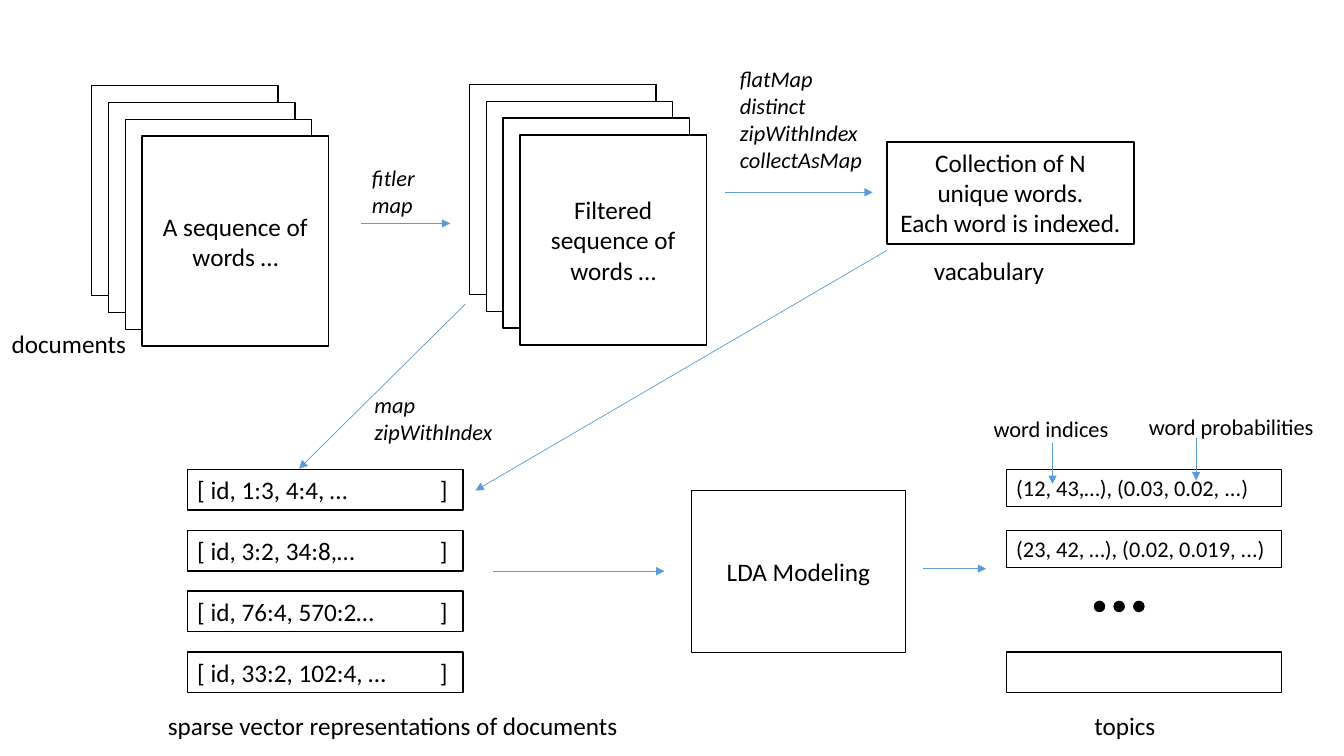
from dataclasses import dataclass

import lxml.etree
import pptx
import pptx.dml.color
import pptx.enum.shapes
import pptx.enum.text
import pptx.oxml.ns
import pptx.util

SHAPES = pptx.enum.shapes.MSO_SHAPE
ALIGN = pptx.enum.text.PP_ALIGN
ANCHOR = pptx.enum.text.MSO_ANCHOR
FIT = pptx.enum.text.MSO_AUTO_SIZE


@dataclass(frozen=True)
class Theme:
    font: str = "Calibri"
    body: int = 18
    small: int = 16
    ink: str = "000000"
    paper: str = "FFFFFF"
    arrow: str = "5B9BD5"
    outline_width: float = 1
    arrow_width: float = 0.5


THEME = Theme()
SLIDE_WIDTH = pptx.util.Inches(13.33)
SLIDE_HEIGHT = pptx.util.Inches(7.5)
COLUMNS, ROWS = 80, 45

SHEET_WIDTH, SHEET_HEIGHT = 11.1, 12.5
SHEETS = 4
VECTOR_LEFT, TOPIC_LEFT = 11.15, 59.9
LIST_TOP, LIST_PITCH, LIST_WIDTH = 27.95, 3.62, 16.4
LIST_HEIGHT, SMALL_LIST_HEIGHT = 2.42, 2.22
BRACKET_TAB = 14.9
DOT_LEFT, DOT_TOP, DOT_PITCH, DOT_SIZE = 65.15, 35.8, 1.17, 0.6

VECTORS = ["[ id, 1:3, 4:4, …", "[ id, 3:2, 34:8,…",
           "[ id, 76:4, 570:2…", "[ id, 33:2, 102:4, …"]
# Row in the list, text, height
TOPICS = [(0, "(12, 43,…), (0.03, 0.02, ...)", SMALL_LIST_HEIGHT),
          (1, "(23, 42, …), (0.02, 0.019, ...)", SMALL_LIST_HEIGHT),
          (3, "", LIST_HEIGHT)]
# Column, row, width, text
CAPTIONS = [(0.1, 19.25, 8.1, "documents"),
            (9.4, 42, 28.6, "sparse vector representations of documents"),
            (55, 14.9, 7.85, "vacabulary"),
            (64.55, 42, 4.85, "topics")]
POINTER_LABELS = [(58.55, 24.4, 8.15, "word indices"),
                  (67.8, 24.3, 11.15, "word probabilities")]
# Column, row, width, names of the operations
OPERATIONS = [(21.55, 9.5, 3.8, ["fitler", "map"]),
              (21.7, 23, 8.35, ["map", "zipWithIndex"]),
              (43.45, 3.6, 8.6,
               ["flatMap", "distinct", "zipWithIndex", "collectAsMap"])]
# Start column and row, end column and row
ARROWS = [(21.5, 13.3, 26.8, 13.3), (27.7, 18.1, 17.8, 27.9),
          (43.15, 11.45, 51.95, 11.45), (52.8, 14.9, 28.3, 29.2),
          (29.35, 34, 39.55, 34), (54.95, 33.85, 58.7, 33.85),
          (62.65, 26.35, 62.65, 28.8), (71.2, 26.1, 71.2, 28.6)]


def across(columns):
    return round(SLIDE_WIDTH * columns / COLUMNS)


def down(rows):
    return round(SLIDE_HEIGHT * rows / ROWS)


def place(left, top, width, height):
    return across(left), down(top), across(width), down(height)


def color(value):
    return pptx.dml.color.RGBColor.from_string(value)


def add_right_tab(para, column):
    tag = pptx.oxml.ns.qn
    tabs = lxml.etree.SubElement(para._p.get_or_add_pPr(), tag("a:tabLst"))
    lxml.etree.SubElement(tabs, tag("a:tab"), pos=str(across(column)), algn="r")


def write(frame, lines, size, align=ALIGN.LEFT, italic=False, tab=None):
    for number, line in enumerate(lines):
        para = frame.add_paragraph() if number else frame.paragraphs[0]
        para.alignment = align
        if tab:
            add_right_tab(para, tab)
        span = para.add_run()
        span.text = line
        span.font.name = THEME.font
        span.font.size = pptx.util.Pt(size)
        span.font.italic = italic
        span.font.color.rgb = color(THEME.ink)


def add_shape(page, area, kind=SHAPES.RECTANGLE, fill=THEME.paper):
    shape = page.shapes.add_shape(kind, *place(*area))
    shape.shadow.inherit = False
    shape.fill.solid()
    shape.fill.fore_color.rgb = color(fill)
    shape.line.color.rgb = color(THEME.ink)
    shape.line.width = pptx.util.Pt(THEME.outline_width)
    return shape


def add_box(page, area, lines, anchor=ANCHOR.MIDDLE, size=THEME.body,
            align=ALIGN.CENTER, tab=None):
    frame = add_shape(page, area).text_frame
    frame.word_wrap = True
    frame.vertical_anchor = anchor
    write(frame, lines, size, align, tab=tab)


def add_label(page, left, top, width, lines, size, italic=False):
    height = 0.6 + len(lines) * size / 10
    frame = page.shapes.add_textbox(*place(left, top, width, height)).text_frame
    frame.word_wrap = False
    frame.auto_size = FIT.SHAPE_TO_FIT_TEXT
    write(frame, lines, size, italic=italic)


def add_stack(page, left, top, text):
    """Overlapping sheets, one grid cell apart, with text on the front one."""
    for step in range(SHEETS):
        area = (left + step, top + step, SHEET_WIDTH, SHEET_HEIGHT)
        add_box(page, area, [text] if step == SHEETS - 1 else [])


def add_arrow(page, start_column, start_row, end_column, end_row):
    arrow = page.shapes.add_connector(
        pptx.enum.shapes.MSO_CONNECTOR.STRAIGHT,
        across(start_column), down(start_row), across(end_column), down(end_row))
    arrow.line.color.rgb = color(THEME.arrow)
    arrow.line.width = pptx.util.Pt(THEME.arrow_width)
    tag = pptx.oxml.ns.qn
    lxml.etree.SubElement(arrow.line._get_or_add_ln(), tag("a:tailEnd"),
                          type="triangle")
    lxml.etree.SubElement(arrow._element.spPr, tag("a:effectLst"))


def add_vectors(page):
    for row, text in enumerate(VECTORS):
        area = (VECTOR_LEFT, LIST_TOP + row * LIST_PITCH, LIST_WIDTH, LIST_HEIGHT)
        add_box(page, area, [text + "\t]"], ANCHOR.TOP, align=ALIGN.LEFT,
                tab=BRACKET_TAB)


def add_topics(page):
    for row, text, height in TOPICS:
        area = (TOPIC_LEFT, LIST_TOP + row * LIST_PITCH, LIST_WIDTH, height)
        add_box(page, area, [text] if text else [], ANCHOR.TOP, THEME.small,
                ALIGN.LEFT)
    for number in range(3):
        area = (DOT_LEFT + number * DOT_PITCH, DOT_TOP, DOT_SIZE, DOT_SIZE)
        add_shape(page, area, SHAPES.OVAL, THEME.ink)


def main():
    deck = pptx.Presentation()
    deck.slide_width, deck.slide_height = SLIDE_WIDTH, SLIDE_HEIGHT
    page = deck.slides.add_slide(deck.slide_layouts[6])

    add_stack(page, 5.46, 5.1, "A sequence of words …")
    add_stack(page, 27.95, 5.03, "Filtered sequence of words …")
    add_box(page, (52.8, 8.46, 14.7, 6.08),
            ["Collection of N unique words.", "Each word is indexed."], ANCHOR.TOP)
    add_vectors(page)
    add_box(page, (41.15, 29.2, 12.75, 9.65), ["LDA Modeling"])
    add_topics(page)
    for arrow in ARROWS:
        add_arrow(page, *arrow)
    for left, top, width, text in CAPTIONS:
        add_label(page, left, top, width, [text], THEME.body)
    for left, top, width, text in POINTER_LABELS:
        add_label(page, left, top, width, [text], THEME.small)
    for left, top, width, names in OPERATIONS:
        add_label(page, left, top, width, names, THEME.small, italic=True)

    deck.save("out.pptx")


if __name__ == "__main__":
    main()
